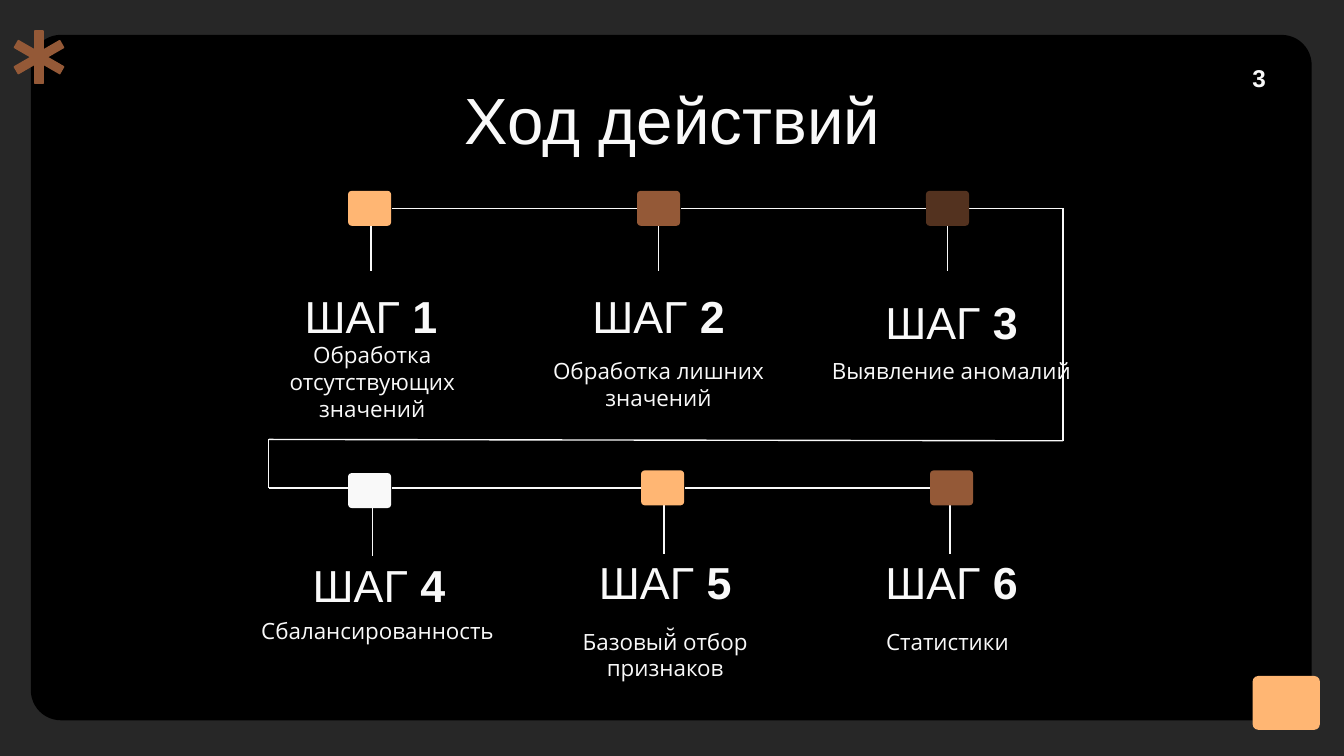
import pptx
import pptx.dml.color
import pptx.enum.shapes
import pptx.enum.text
import pptx.oxml.ns
import pptx.util
from lxml import etree

Inches = pptx.util.Inches
SHAPE = pptx.enum.shapes.MSO_SHAPE
ALIGN = pptx.enum.text.PP_ALIGN
ANCHOR = pptx.enum.text.MSO_ANCHOR

LIGHT, ORANGE, BROWN, DARK_BROWN = "F9F9F9", "FFB673", "945937", "53321F"
NODE_W, NODE_H = 0.32, 0.26
TEXT_W = 1.98

HEADING = {"size": pptx.util.Pt(24), "name": "Arial"}
BODY = {"size": pptx.util.Pt(12), "name": "Open Sans"}
TITLE = {"size": pptx.util.Pt(35), "name": "Arial"}
NUMBER = {"size": pptx.util.Pt(13), "name": "Arial", "bold": True}

# number, description, colour, node (left, top), stem (offset, length),
# heading offset and description offset from the node
STEPS = [
    (1, "Обработка отсутствующих значений", ORANGE, (2.59, 1.42),
     (0.17, 0.34), (-0.82, 0.6), (-0.81, 1.02)),
    (2, "Обработка лишних значений", BROWN, (4.74, 1.42),
     (0.16, 0.34), (-0.83, 0.6), (-0.83, 1.14)),
    (3, "Выявление аномалий", DARK_BROWN, (6.89, 1.42),
     (0.16, 0.34), (-0.8, 0.64), (-0.8, 1.14)),
    (4, "Сбалансированность", LIGHT, (2.59, 3.52),
     (0.18, 0.36), (-0.76, 0.5), (-0.77, 0.97)),
    (5, "Базовый̆ отбор признаков", ORANGE, (4.77, 3.5),
     (0.17, 0.36), (-0.81, 0.5), (-0.81, 1.07)),
    (6, "Статистики", BROWN, (6.92, 3.5),
     (0.15, 0.36), (-0.83, 0.5), (-0.86, 1.07)),
]

# Stretches of the route, broken where a node stands
ROUTE = [
    [(2.92, 1.55), (4.74, 1.55)],
    [(5.07, 1.55), (6.89, 1.55)],
    [(7.21, 1.55), (7.91, 1.55), (7.91, 3.28), (2, 3.27), (2, 3.63), (2.59, 3.63)],
    [(2.92, 3.63), (4.77, 3.63)],
    [(5.1, 3.63), (6.92, 3.63)],
]


def rgb(value):
    return pptx.dml.color.RGBColor.from_string(value)


def add_block(slide, kind, left, top, width, height, color, corner=None, rotation=0):
    sp = slide.shapes.add_shape(kind, *map(Inches, (left, top, width, height)))
    sp.shadow.inherit = False
    sp.fill.solid()
    sp.fill.fore_color.rgb = rgb(color)
    sp.line.fill.background()
    sp.rotation = rotation
    if corner is not None:
        sp.adjustments[0] = corner
    return sp


def add_line(slide, start, end):
    line = slide.shapes.add_connector(
        pptx.enum.shapes.MSO_CONNECTOR.STRAIGHT, *map(Inches, (*start, *end)))
    line.line.color.rgb = rgb(LIGHT)
    line.line.width = pptx.util.Pt(0.75)
    etree.SubElement(line._element.spPr, pptx.oxml.ns.qn("a:effectLst"))


def add_text(slide, left, top, width, height, runs, align=ALIGN.CENTER, anchor=ANCHOR.TOP):
    """Add one paragraph; runs holds pairs of text and font values."""
    box = slide.shapes.add_textbox(*map(Inches, (left, top, width, height)))
    tf = box.text_frame
    frame = {"word_wrap": True, "vertical_anchor": anchor}
    frame.update({f"margin_{side}": Inches(0.1) for side in ("left", "top", "right", "bottom")})
    for name, value in frame.items():
        setattr(tf, name, value)
    p = tf.paragraphs[0]
    p.alignment = align
    for text, font in runs:
        r = p.add_run()
        r.text = text
        r.font.color.rgb = rgb(LIGHT)
        for name, value in font.items():
            setattr(r.font, name, value)


def add_asterisk(slide, left, top, width, height):
    for rotation in (0, 120, 240):
        bar = add_block(slide, SHAPE.RECTANGLE, left, top, width, height, BROWN,
                        rotation=rotation)
        bar.line.color.rgb = rgb(BROWN)
        bar.line.width = pptx.util.Pt(0.75)


def add_backdrop(slide):
    slide.background.fill.solid()
    slide.background.fill.fore_color.rgb = rgb("272727")
    add_block(slide, SHAPE.ROUNDED_RECTANGLE, 0.23, 0.26, 9.53, 5.1, "000000", 0.044)
    add_block(slide, SHAPE.ROUNDED_RECTANGLE, 9.32, 5.03, 0.5, 0.4, ORANGE, 0.102, 180)
    add_asterisk(slide, 0.26, 0.23, 0.06, 0.39)


def add_route(slide):
    for stretch in ROUTE:
        for start, end in zip(stretch, stretch[1:]):
            add_line(slide, start, end)


def add_step(slide, number, description, color, node, stem, heading_at, description_at):
    left, top = node
    stem_dx, stem_length = stem
    stem_x, stem_top = left + stem_dx, top + NODE_H
    add_line(slide, (stem_x, stem_top), (stem_x, stem_top + stem_length))
    add_block(slide, SHAPE.ROUNDED_RECTANGLE, left, top, NODE_W, NODE_H, color, 0.102, 180)
    dx, dy = heading_at
    add_text(slide, left + dx, top + dy, TEXT_W, 0.63,
             [("ШАГ ", HEADING), (str(number), {**HEADING, "bold": True})],
             anchor=ANCHOR.BOTTOM)
    dx, dy = description_at
    add_text(slide, left + dx, top + dy, TEXT_W, 0.35, [(description, BODY)])


def main():
    prs = pptx.Presentation()
    prs.slide_width = Inches(10)
    prs.slide_height = prs.slide_width * 9 // 16
    slide = prs.slides.add_slide(prs.slide_layouts[6])
    add_backdrop(slide)
    add_text(slide, 9.22, 0.37, 0.6, 0.43, [("3", NUMBER)], align=ALIGN.LEFT)
    add_text(slide, 0.79, 0.49, 8.43, 0.63, [("Ход действий", TITLE)])
    add_route(slide)
    for step in STEPS:
        add_step(slide, *step)
    prs.save("out.pptx")


if __name__ == "__main__":
    main()
